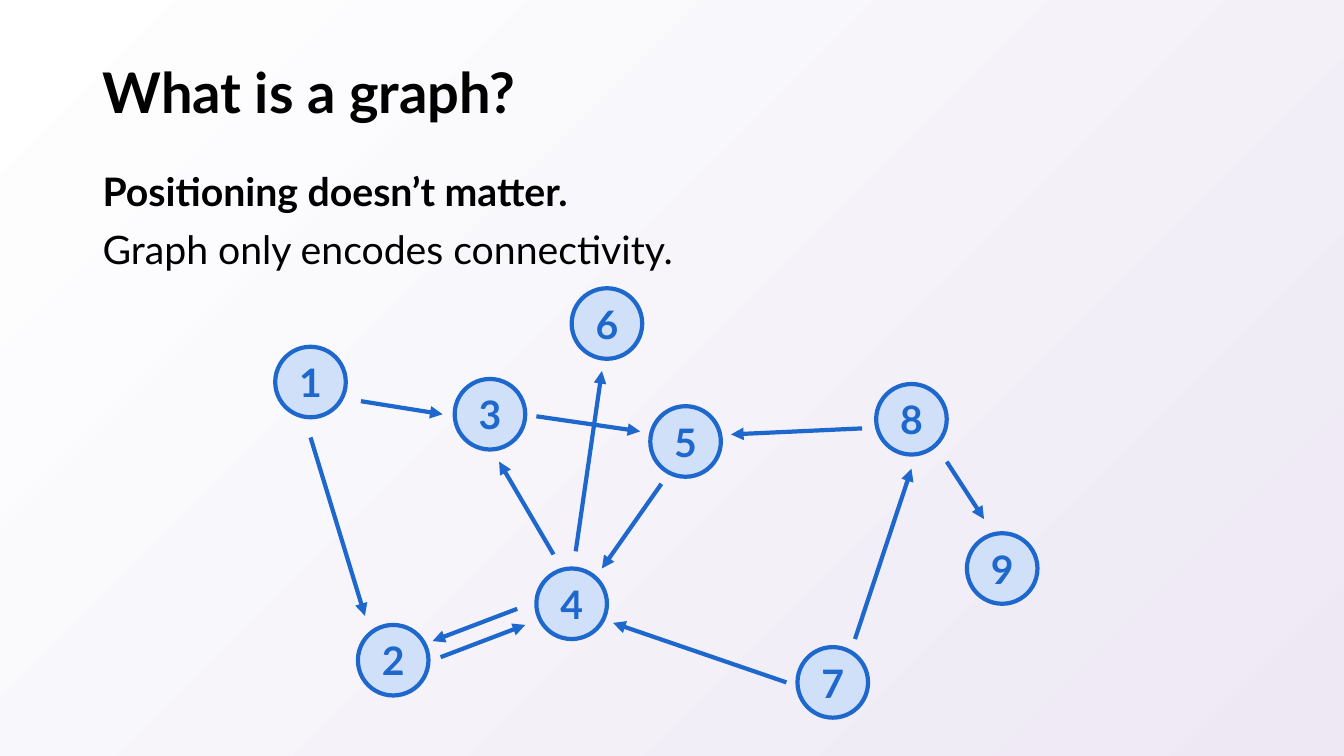
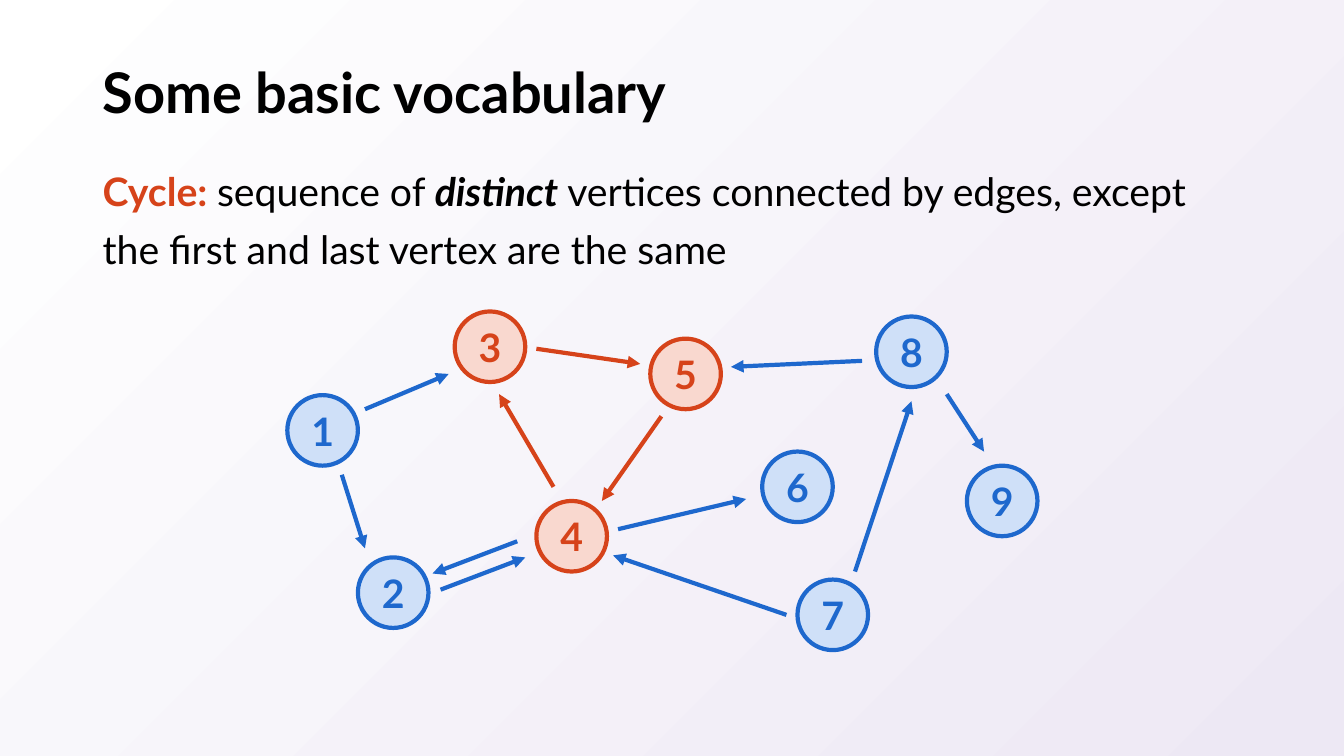
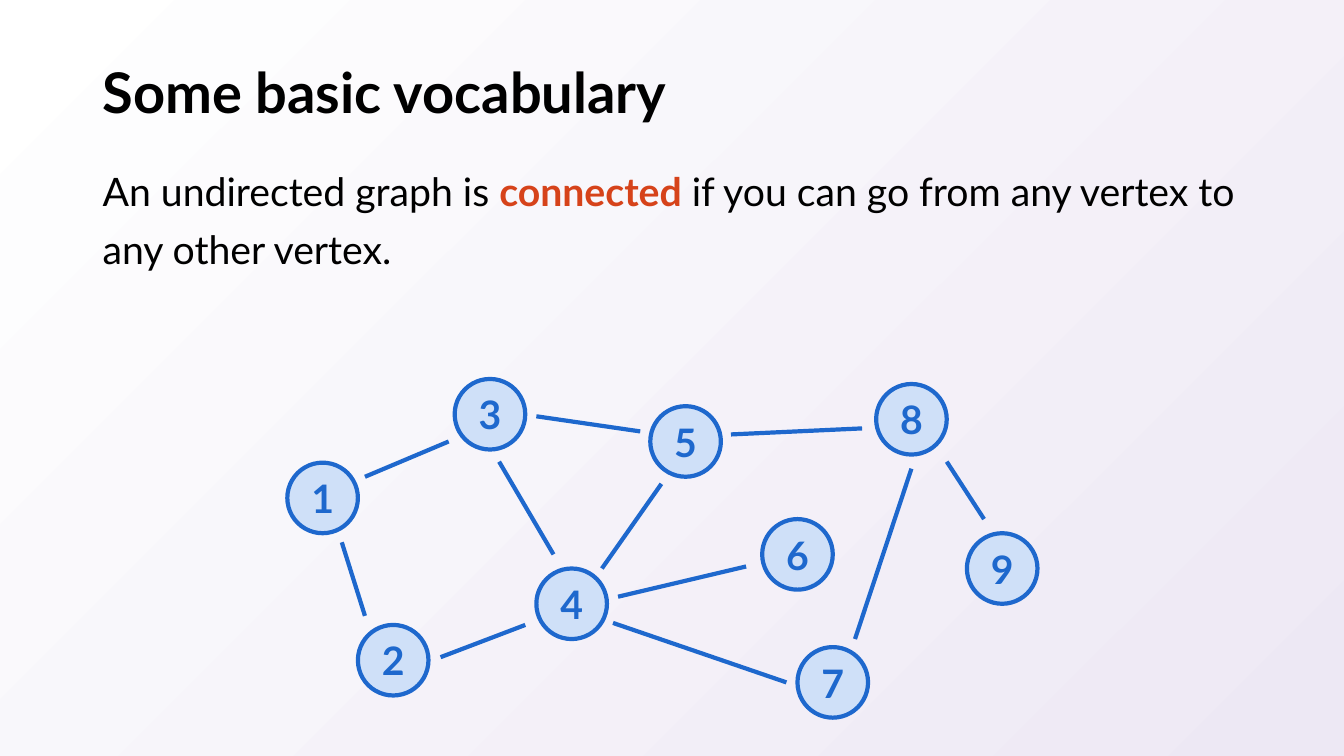
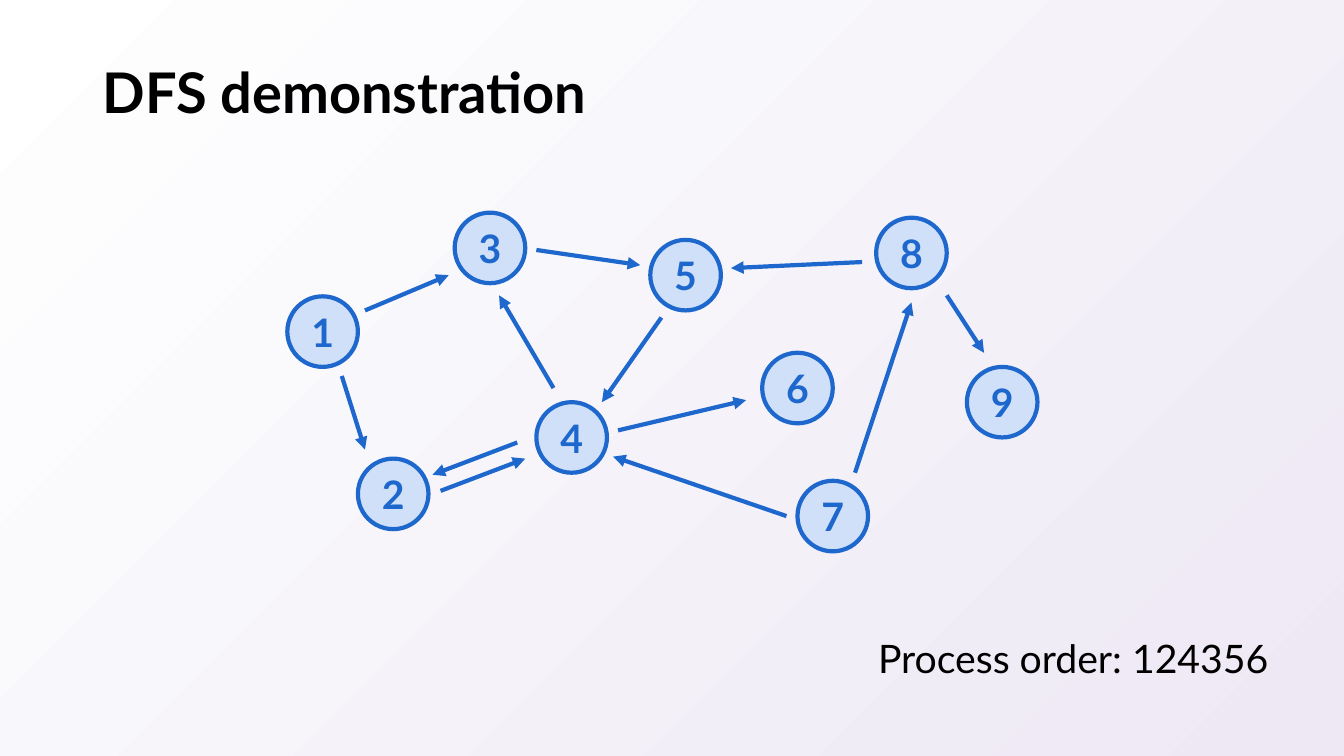
from lxml.etree import SubElement
from pptx import Presentation
from pptx.dml.color import RGBColor
from pptx.enum.shapes import MSO_CONNECTOR, MSO_SHAPE
from pptx.enum.text import MSO_ANCHOR, PP_ALIGN
from pptx.oxml.ns import qn
from pptx.util import Inches, Pt

BLACK = RGBColor(0x00, 0x00, 0x00)
WHITE = RGBColor(0xFF, 0xFF, 0xFF)
LAVENDER = RGBColor(0xED, 0xE8, 0xF4)
BLUE = RGBColor(0x1E, 0x68, 0xCD)
PALE_BLUE = RGBColor(0xCF, 0xE0, 0xF8)
RED = RGBColor(0xD6, 0x43, 0x1A)
PALE_RED = RGBColor(0xF9, 0xD8, 0xCF)

FONT = "Lato"
TITLE_SIZE = 40
TEXT_SIZE = 28
LINE_WIDTH = Pt(3)
NODE_SIZE = 0.7
GRAPH_LEFT = 2.85
BODY_BOX = (0.92, 1.49, 11.5, 1.4)

# Left and top of each vertex, relative to the graph's corner
NODES = {
    1: (0, 0.83), 2: (0.7, 2.44), 3: (1.66, 0),
    4: (2.47, 1.88), 5: (3.6, 0.27), 6: (4.71, 1.39),
    7: (5.06, 2.66), 8: (5.84, 0.05), 9: (6.74, 1.53),
}
# (from vertex, to vertex): start and end point, relative to the same corner
EDGES = {
    (1, 3): ((0.77, 0.97), (1.6, 0.62)),
    (1, 2): ((0.54, 1.62), (0.77, 2.35)),
    (2, 4): ((1.52, 2.76), (2.36, 2.44)),
    (3, 5): ((2.47, 0.37), (3.5, 0.52)),
    (4, 3): ((2.64, 1.74), (2.1, 0.82)),
    (5, 4): ((3.71, 1.04), (3.12, 1.88)),
    (7, 4): ((4.95, 3.01), (3.23, 2.42)),
    (8, 5): ((5.7, 0.49), (4.4, 0.55)),
    (7, 8): ((5.63, 2.58), (6.19, 0.89)),
    (4, 6): ((3.28, 2.16), (4.55, 1.86)),
    (8, 9): ((6.54, 0.82), (6.91, 1.39)),
    (4, 2): ((2.28, 2.28), (1.44, 2.6)),
}
MOVED_NODES = {1: (-0.12, -0.32), 6: (2.82, -0.9)}
MOVED_EDGES = {
    (1, 3): ((0.73, 0.22), (1.54, 0.35)),
    (1, 2): ((0.23, 0.58), (0.77, 2.35)),
    (4, 6): ((2.86, 1.71), (3.12, -0.08)),
}


def add_span(para, text, size=TEXT_SIZE, color=BLACK, bold=False, italic=False):
    span = para.add_run()
    span.text = text
    font = span.font
    font.name, font.size = FONT, Pt(size)
    font.bold, font.italic = bold, italic
    font.color.rgb = color


def add_text(page, box, lines, spacing=1.25, anchor=MSO_ANCHOR.TOP):
    """Each line is a list of (text, font options) spans."""
    frame = page.shapes.add_textbox(*map(Inches, box)).text_frame
    frame.word_wrap = True
    frame.vertical_anchor = anchor
    for index, line in enumerate(lines):
        para = frame.add_paragraph() if index else frame.paragraphs[0]
        para.line_spacing = spacing
        for text, options in line:
            add_span(para, text, **options)


def add_page(deck, title):
    page = deck.slides.add_slide(deck.slide_layouts[6])
    add_text(page, (0.92, 0.4, 11.5, 1.09),
             [[(title, {"size": TITLE_SIZE, "bold": True})]], 0.9, MSO_ANCHOR.MIDDLE)
    return page


def add_node(page, left, top, number, color, fill):
    node = page.shapes.add_shape(MSO_SHAPE.OVAL, *map(Inches, (left, top, NODE_SIZE, NODE_SIZE)))
    node.shadow.inherit = False
    node.fill.solid()
    node.fill.fore_color.rgb = fill
    node.line.color.rgb = color
    node.line.width = LINE_WIDTH
    frame = node.text_frame
    frame.vertical_anchor = MSO_ANCHOR.MIDDLE
    para = frame.paragraphs[0]
    para.alignment = PP_ALIGN.CENTER
    add_span(para, str(number), color=color, bold=True)


def add_edge(page, start, end, color, directed):
    edge = page.shapes.add_connector(MSO_CONNECTOR.STRAIGHT, *map(Inches, (*start, *end)))
    edge.line.color.rgb = color
    edge.line.width = LINE_WIDTH
    if directed:
        SubElement(edge.line._get_or_add_ln(), qn("a:tailEnd"), type="triangle")
    SubElement(edge._element.spPr, qn("a:effectLst"))


def add_graph(page, top, nodes=NODES, edges=EDGES, cycle=(), directed=True):
    """Draw the graph with vertex 3 at the given top; the cycle's vertices are red."""
    def place(point):
        return GRAPH_LEFT + point[0], top + point[1]

    for number, corner in nodes.items():
        color, fill = (RED, PALE_RED) if number in cycle else (BLUE, PALE_BLUE)
        add_node(page, *place(corner), number, color, fill)
    drawn = set()
    for pair, (start, end) in edges.items():
        if not directed and pair[::-1] in drawn:
            continue
        drawn.add(pair)
        color = RED if set(pair) <= set(cycle) else BLUE
        add_edge(page, place(start), place(end), color, directed)


def set_background(deck):
    fill = deck.slide_master.background.fill
    fill.gradient()
    fill.gradient_angle = 315
    for stop, color in zip(fill.gradient_stops, (WHITE, LAVENDER)):
        stop.color.rgb = color


def build_positioning(deck):
    page = add_page(deck, "What is a graph?")
    add_text(page, BODY_BOX, [
        [("Positioning doesn’t matter.", {"bold": True})],
        [("Graph only encodes connectivity.", {})],
    ])
    add_graph(page, 3.76, NODES | MOVED_NODES, EDGES | MOVED_EDGES)


def build_cycle(deck):
    page = add_page(deck, "Some basic vocabulary")
    add_text(page, BODY_BOX, [[
        ("Cycle: ", {"color": RED, "bold": True}),
        ("sequence of ", {}),
        ("distinct", {"bold": True, "italic": True}),
        (" vertices connected by edges, except the first and last vertex are the same", {}),
    ]])
    add_graph(page, 3.09, cycle=(3, 4, 5))


def build_connected(deck):
    page = add_page(deck, "Some basic vocabulary")
    add_text(page, BODY_BOX, [[
        ("An undirected graph is ", {}),
        ("connected", {"color": RED, "bold": True}),
        (" if you can go from any vertex to any other vertex.", {}),
    ]])
    add_graph(page, 3.76, directed=False)


def build_search(deck):
    page = add_page(deck, "DFS demonstration")
    add_graph(page, 2.11)
    add_text(page, (8.61, 6.13, 4.42, 0.63), [[("Process order: 124356", {})]])


def main():
    deck = Presentation()
    deck.slide_width, deck.slide_height = Inches(13.33), Inches(7.5)
    set_background(deck)
    for build in (build_positioning, build_cycle, build_connected, build_search):
        build(deck)
    deck.save("out.pptx")


if __name__ == "__main__":
    main()
